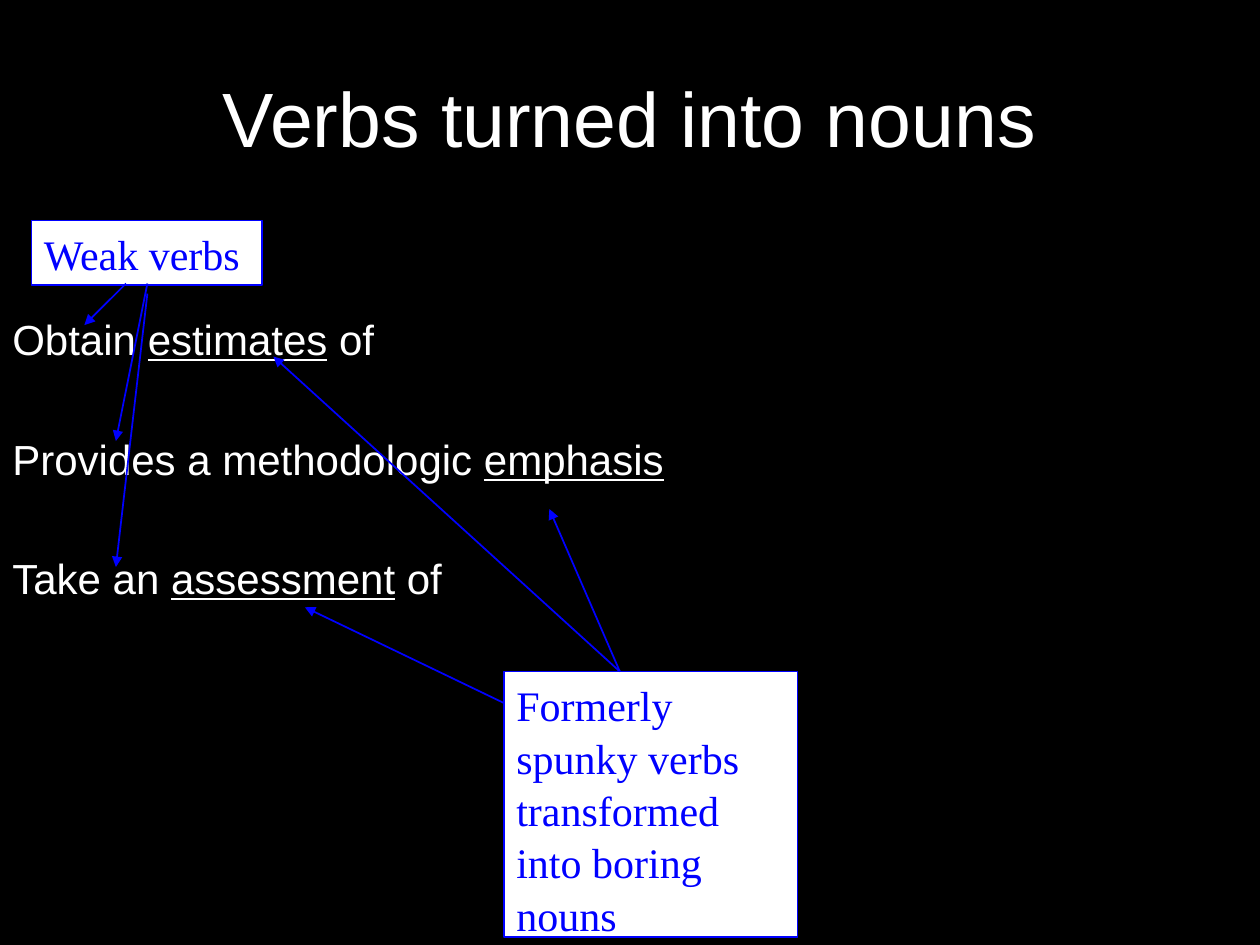
from dataclasses import dataclass

from lxml import etree
from pptx import Presentation
from pptx.dml.color import RGBColor
from pptx.enum.shapes import MSO_CONNECTOR, MSO_SHAPE
from pptx.enum.text import MSO_ANCHOR, PP_ALIGN
from pptx.oxml.ns import qn
from pptx.util import Inches, Pt

STRAIGHT = MSO_CONNECTOR.STRAIGHT
RECTANGLE = MSO_SHAPE.RECTANGLE
TOP, MIDDLE = MSO_ANCHOR.TOP, MSO_ANCHOR.MIDDLE
LEFT, CENTER = PP_ALIGN.LEFT, PP_ALIGN.CENTER
BLACK, WHITE, BLUE = "000000", "FFFFFF", "0000FF"
SANS, SERIF = "Arial", "Times New Roman"


@dataclass
class Example:
    """A phrase whose noun is underlined."""
    before: str
    noun: str
    after: str = ""


@dataclass
class Callout:
    """A boxed remark and its arrows, each as (x1, y1, x2, y2)."""
    remark: str
    box: tuple[float, float, float, float]
    arrows: list[tuple[float, float, float, float]]


EXAMPLES = [
    Example("Obtain ", "estimates", " of"),
    Example("Provides a methodologic ", "emphasis"),
    Example("Take an ", "assessment", " of"),
]
CALLOUTS = [
    Callout("Weak verbs", (0.25, 1.75, 1.83, 0.51),
            [(1, 2.25, 0.67, 2.58), (1.17, 2.25, 0.92, 3.5),
             (1.17, 2.33, 0.92, 4.5)]),
    Callout("Formerly spunky verbs transformed into boring nouns",
            (4, 5.33, 2.33, 2.11),
            [(4.92, 5.33, 2.17, 2.83), (4.92, 5.33, 4.36, 4.04),
             (4, 5.58, 2.42, 4.82)]),
]


def color(value: str) -> RGBColor:
    """Turn a hex string into a colour."""
    return RGBColor.from_string(value)


def add_run(paragraph, text: str, size: float, font: str, ink: str,
            underline: bool = False) -> None:
    """Append one formatted run."""
    run = paragraph.add_run()
    run.text = text
    run.font.size = Pt(size)
    run.font.name = font
    run.font.color.rgb = color(ink)
    if underline:
        run.font.underline = True


def prepare_frame(shape, anchor):
    """Wrap and anchor the text of a shape, and return its frame."""
    frame = shape.text_frame
    frame.word_wrap = True
    frame.vertical_anchor = anchor
    return frame


def add_title(slide, text: str) -> None:
    """Add the centred heading."""
    box = slide.shapes.add_textbox(*map(Inches, (0.5, 0.3, 9, 1.25)))
    paragraph = prepare_frame(box, MIDDLE).paragraphs[0]
    paragraph.alignment = CENTER
    add_run(paragraph, text, 44, SANS, WHITE)


def add_examples(slide, examples: list[Example]) -> None:
    """Add the phrases as evenly spaced paragraphs."""
    box = slide.shapes.add_textbox(*map(Inches, (0, 2.42, 10, 4.5)))
    frame = prepare_frame(box, TOP)
    frame.margin_top = Inches(0.07)
    for index, example in enumerate(examples):
        paragraph = frame.add_paragraph() if index else frame.paragraphs[0]
        paragraph.space_after = Pt(39.5)
        add_run(paragraph, example.before, 24, SANS, WHITE)
        add_run(paragraph, example.noun, 24, SANS, WHITE, underline=True)
        if example.after:
            add_run(paragraph, example.after, 24, SANS, WHITE)


def add_arrow(slide, x1: float, y1: float, x2: float, y2: float) -> None:
    """Add a thin line with a triangular head at its end."""
    arrow = slide.shapes.add_connector(
        STRAIGHT, *map(Inches, (x1, y1, x2, y2)))
    arrow.line.color.rgb = color(BLUE)
    arrow.line.width = Pt(1)
    etree.SubElement(arrow.line._get_or_add_ln(), qn("a:tailEnd"),
                     type="triangle")
    etree.SubElement(arrow._element.spPr, qn("a:effectLst"))


def add_callout(slide, callout: Callout) -> None:
    """Add a boxed remark and the arrows that leave it."""
    box = slide.shapes.add_shape(RECTANGLE, *map(Inches, callout.box))
    box.shadow.inherit = False
    box.fill.solid()
    box.fill.fore_color.rgb = color(WHITE)
    box.line.color.rgb = color(BLUE)
    box.line.width = Pt(1)
    paragraph = prepare_frame(box, TOP).paragraphs[0]
    paragraph.alignment = LEFT
    paragraph.line_spacing = 1.04
    add_run(paragraph, callout.remark, 24, SERIF, BLUE)
    for arrow in callout.arrows:
        add_arrow(slide, *arrow)


def main() -> None:
    """Build and save the slide."""
    deck = Presentation()
    deck.slide_width, deck.slide_height = Inches(10), Inches(7.5)
    slide = deck.slides.add_slide(deck.slide_layouts[6])
    slide.background.fill.solid()
    slide.background.fill.fore_color.rgb = color(BLACK)
    add_title(slide, "Verbs turned into nouns")
    add_examples(slide, EXAMPLES)
    for callout in CALLOUTS:
        add_callout(slide, callout)
    deck.save("out.pptx")


main()
